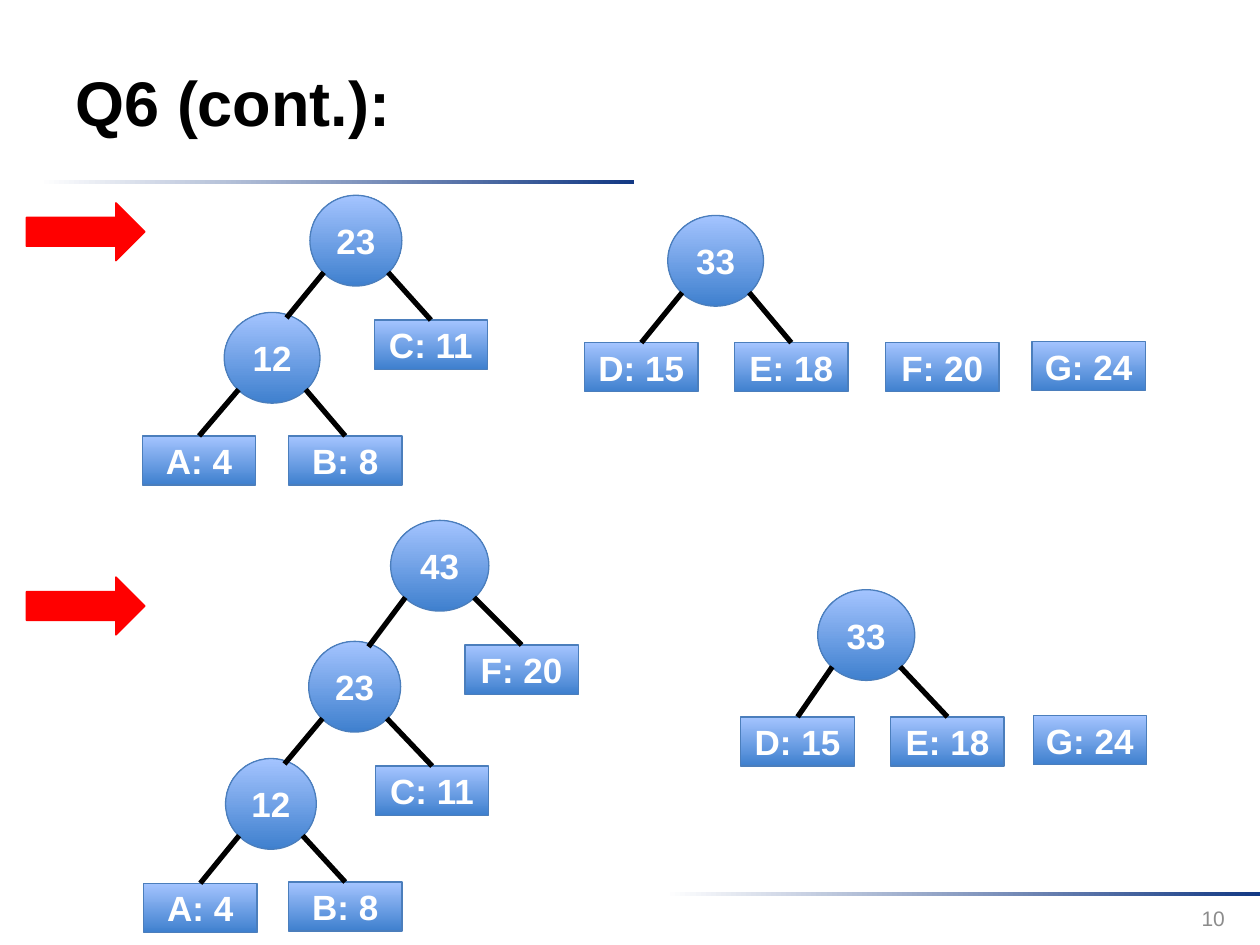
"""Build a slide of Huffman tree steps."""
import pptx
import pptx.dml.color
import pptx.enum.shapes
import pptx.enum.text
import pptx.oxml
import pptx.oxml.ns
import pptx.util

COLS, ROWS = 100, 75
COLORS = {
    "black": "000000", "white": "FFFFFF", "gray": "8C8C8C", "red": "FF0000",
    "navy": "133984", "deep": "3F80CE", "pale": "A4C4FF", "edge": "4B7EBC",
}
SHAPE = pptx.enum.shapes.MSO_SHAPE
ALIGN = pptx.enum.text.PP_ALIGN
LEAF = (9, 3.9)
TALL = 7.2

ARROWS = [(2.1, 16.1), (2.1, 45.8)]
BARS = [(3.1, 14.3), (52.8, 70.8)]
TREES = [
    ("23", 24.6, 15.5, 7.3,
     ("12", 17.8, 24.8, 7.6, ("A: 4", 11.3, 34.6), ("B: 8", 22.9, 34.6)),
     ("C: 11", 29.7, 25.4)),
    ("33", 53, 17.1, 7.6, ("D: 15", 46.4, 27.2), ("E: 18", 58.3, 27.2)),
    ("F: 20", 70.3, 27.2),
    ("G: 24", 81.9, 27.1),
    ("43", 31, 41.3, 7.8,
     ("23", 24.5, 50.9, 7.3,
      ("12", 17.9, 60.2, 7.2, ("A: 4", 11.4, 70.1), ("B: 8", 22.9, 70)),
      ("C: 11", 29.8, 60.8)),
     ("F: 20", 36.9, 51.2)),
    ("33", 64.9, 46.8, 7.7, ("D: 15", 58.8, 56.9), ("E: 18", 70.7, 56.9)),
    ("G: 24", 82, 56.8),
]


def tint(name):
    """Return the named colour."""
    return pptx.dml.color.RGBColor.from_string(COLORS[name])


def grid(deck, *spots):
    """Turn alternating columns and rows into slide lengths."""
    units = (deck.slide_width / COLS, deck.slide_height / ROWS)
    return [round(spot * units[i % 2]) for i, spot in enumerate(spots)]


def write(frame, words, size=20, color="white", bold=True, align=ALIGN.CENTER,
          inset=0):
    """Put formatted text in a frame."""
    frame.word_wrap = True
    frame.vertical_anchor = pptx.enum.text.MSO_ANCHOR.MIDDLE
    frame.margin_left = frame.margin_right = pptx.util.Inches(inset)
    frame.margin_top = frame.margin_bottom = 0
    para = frame.paragraphs[0]
    para.alignment = align
    run = para.add_run()
    run.text = words
    run.font.name = "Arial"
    run.font.size = pptx.util.Pt(size)
    run.font.bold = bold
    run.font.color.rgb = tint(color)


def block(deck, slide, kind, box, fill, line=None, angle=90):
    """Draw a shape with one fill colour or a blend of two."""
    shape = slide.shapes.add_shape(kind, *grid(deck, *box))
    shape.shadow.inherit = False
    if len(fill) == 1:
        shape.fill.solid()
        shape.fill.fore_color.rgb = tint(fill[0])
    else:
        shape.fill.gradient()
        shape.fill.gradient_angle = angle
        for stop, name in zip(shape.fill.gradient_stops, fill):
            stop.color.rgb = tint(name)
    if line:
        shape.line.color.rgb = tint(line)
        shape.line.width = pptx.util.Pt(0.75)
    else:
        shape.line.fill.background()
    return shape


def branch(slide, parent, child, side, leaf):
    """Join a parent circle to its child on the left (-1) or right (1)."""
    start_x = parent.left + parent.width * (0.5 + side * 0.35)
    start_y = parent.top + parent.height * 0.85
    end_x = child.left + child.width * 0.65
    end_y = child.top + child.height * 0.06
    line = slide.shapes.add_connector(
        pptx.enum.shapes.MSO_CONNECTOR.STRAIGHT,
        *map(round, (start_x, start_y, end_x, end_y)))
    if leaf:
        line.end_connect(child, 0)
    line.line.color.rgb = tint("black")
    line.line.width = pptx.util.Pt(3)
    effects = pptx.oxml.ns.qn("a:effectLst")
    line._element.spPr.append(line._element.makeelement(effects, {}))


def tree(deck, slide, node):
    """Draw a node after its children, and return its shape."""
    label, col, row, *rest = node
    kids = rest[1:]
    shapes = [tree(deck, slide, kid) for kid in kids]
    size = (rest[0], TALL) if kids else LEAF
    kind = SHAPE.OVAL if kids else SHAPE.RECTANGLE
    shape = block(deck, slide, kind, (col, row, *size), ("deep", "pale"), "edge")
    write(shape.text_frame, label)
    for side, kid, child in zip((-1, 1), kids, shapes):
        branch(slide, shape, child, side, leaf=len(kid) == 3)
    return shape


def title(deck, slide, words):
    """Fill and place the title."""
    head = slide.shapes.title
    head.left, head.top, head.width, head.height = grid(deck, 5, 1.8, 77.3, 12.5)
    write(head.text_frame, words, size=36, color="black", align=ALIGN.LEFT,
          inset=0.1)


def number(deck, slide, words):
    """Write the page number."""
    box = slide.shapes.add_textbox(*grid(deck, 74.9, 70.9, 23.3, 4))
    write(box.text_frame, words, size=12, color="gray", bold=False,
          align=ALIGN.RIGHT, inset=0.1)


def main():
    """Build and save the slide."""
    deck = pptx.Presentation()
    deck.slide_width = pptx.util.Inches(10)
    deck.slide_height = pptx.util.Inches(7.5)
    slide = deck.slides.add_slide(deck.slide_layouts[5])
    for spot in BARS:
        block(deck, slide, SHAPE.RECTANGLE, (*spot, 47.2, 0.3),
              ("white", "navy"), angle=0)
    title(deck, slide, "Q6 (cont.):")
    number(deck, slide, "10")
    for spot in ARROWS:
        block(deck, slide, SHAPE.RIGHT_ARROW, (*spot, 9.4, 4.6), ("red",), "red")
    for node in TREES:
        tree(deck, slide, node)
    deck.save("out.pptx")


if __name__ == "__main__":
    main()
